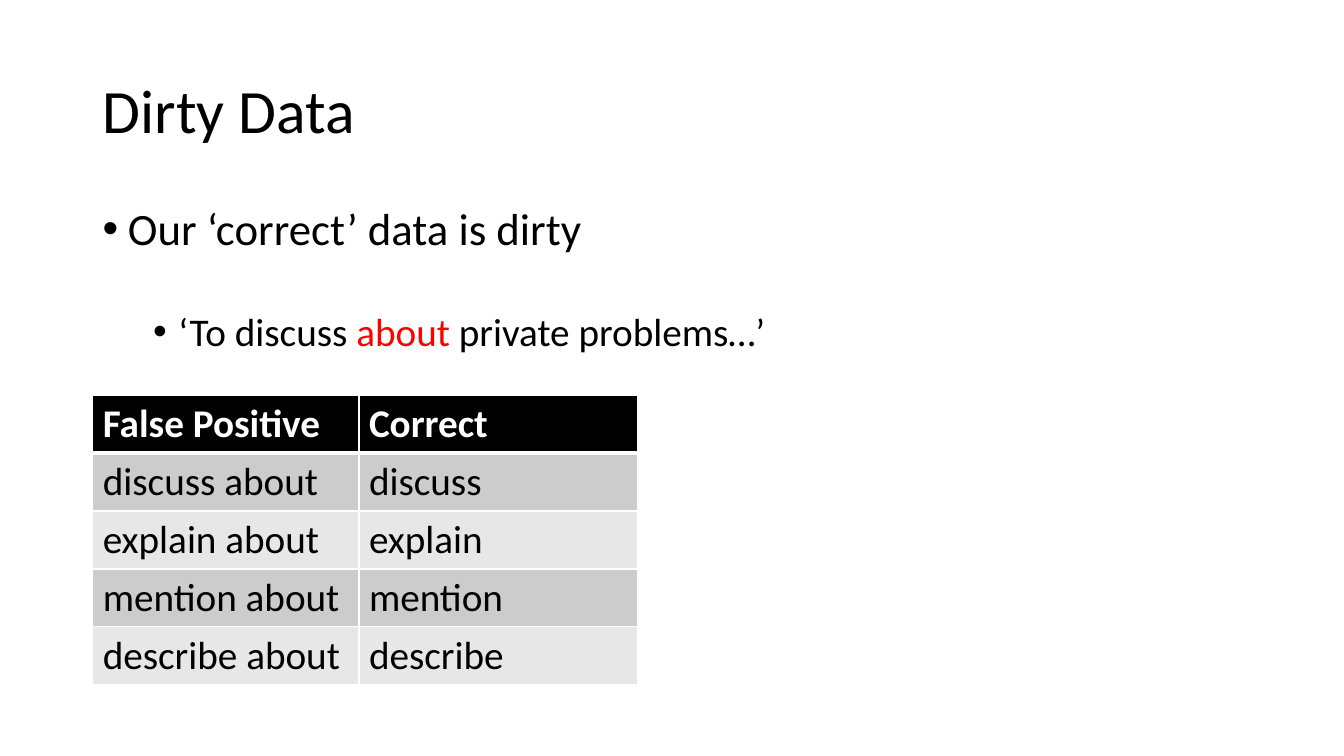
from lxml import etree
from pptx import Presentation
from pptx.dml.color import RGBColor
from pptx.enum.text import MSO_ANCHOR
from pptx.oxml.ns import qn
from pptx.util import Inches, Pt

BLACK = RGBColor(0x00, 0x00, 0x00)
WHITE = RGBColor(0xFF, 0xFF, 0xFF)
RED = RGBColor(0xFF, 0x00, 0x00)
DARK_BAND = RGBColor(0xCC, 0xCC, 0xCC)
LIGHT_BAND = RGBColor(0xE7, 0xE7, 0xE7)
MIDDLE, TOP = MSO_ANCHOR.MIDDLE, MSO_ANCHOR.TOP
FONT = "Calibri"

# Content
TITLE = [("Dirty Data", BLACK)]
BULLETS = [  # left margin, text size, space before, spans
    (0.25, 32, 10, [("Our ‘correct’ data is dirty", BLACK)]),
    (0.75, 28, 41, [("‘To discuss ", BLACK), ("about", RED),
                    (" private problems…’", BLACK)]),
]
HEADINGS = ("False Positive", "Correct")
VERBS = ("discuss", "explain", "mention", "describe")
ROWS = [HEADINGS] + [(f"{verb} about", verb) for verb in VERBS]

# Layout in inches
PAGE_WIDTH, PAGE_HEIGHT = 13.33, 7.5
LEFT, TEXT_WIDTH = 0.92, 11.5
HANGING = 0.25
TABLE_TOP, ROW_HEIGHT = 3.92, 0.575
COLUMN_WIDTHS = (2.64, 2.76)


def add_spans(para, spans, **font_format):
    for text, color in spans:
        span = para.add_run()
        span.text = text
        span.font.color.rgb = color
        for name, value in {"name": FONT, **font_format}.items():
            setattr(span.font, name, value)


def add_text_box(page, top, height, anchor):
    box = page.shapes.add_textbox(Inches(LEFT), Inches(top),
                                  Inches(TEXT_WIDTH), Inches(height))
    box.text_frame.word_wrap = True
    box.text_frame.vertical_anchor = anchor
    return box.text_frame


def set_bullet(para, margin):
    properties = para._p.get_or_add_pPr()
    properties.set("marL", str(Inches(margin)))
    properties.set("indent", str(-Inches(HANGING)))
    etree.SubElement(properties, qn("a:buFont")).set("typeface", "Arial")
    etree.SubElement(properties, qn("a:buChar")).set("char", "•")


def set_borders(cell, widths):
    properties = cell._tc.get_or_add_tcPr()
    for index, (side, width) in enumerate(widths.items()):
        line = etree.Element(qn(f"a:ln{side}"), w=str(Pt(width)))
        fill = etree.SubElement(line, qn("a:solidFill"))
        etree.SubElement(fill, qn("a:srgbClr")).set("val", str(WHITE))
        properties.insert(index, line)


deck = Presentation()
deck.slide_width, deck.slide_height = Inches(PAGE_WIDTH), Inches(PAGE_HEIGHT)
page = deck.slides.add_slide(deck.slide_layouts[6])

# Title
para = add_text_box(page, 0.4, 1.45, MIDDLE).paragraphs[0]
para.line_spacing = 0.9
add_spans(para, TITLE, size=Pt(44))

# Bullets
frame = add_text_box(page, 2, 4.76, TOP)
for index, (margin, size, space, spans) in enumerate(BULLETS):
    para = frame.add_paragraph() if index else frame.paragraphs[0]
    para.line_spacing, para.space_before = 0.9, Pt(space)
    set_bullet(para, margin)
    add_spans(para, spans, size=Pt(size))

# Table
table = page.shapes.add_table(
    len(ROWS), len(HEADINGS), Inches(LEFT), Inches(TABLE_TOP),
    Inches(sum(COLUMN_WIDTHS)), Inches(ROW_HEIGHT * len(ROWS))).table
for column, width in zip(table.columns, COLUMN_WIDTHS):
    column.width = Inches(width)
for row_index, row in enumerate(ROWS):
    is_header = row_index == 0
    band = DARK_BAND if row_index % 2 else LIGHT_BAND
    for column_index, text in enumerate(row):
        cell = table.cell(row_index, column_index)
        cell.fill.solid()
        cell.fill.fore_color.rgb = BLACK if is_header else band
        set_borders(cell, {"L": 1, "R": 1, "T": 3 if row_index == 1 else 1,
                           "B": 3 if is_header else 1})
        add_spans(cell.text_frame.paragraphs[0],
                  [(text, WHITE if is_header else BLACK)],
                  size=Pt(28), bold=is_header)

deck.save("out.pptx")
